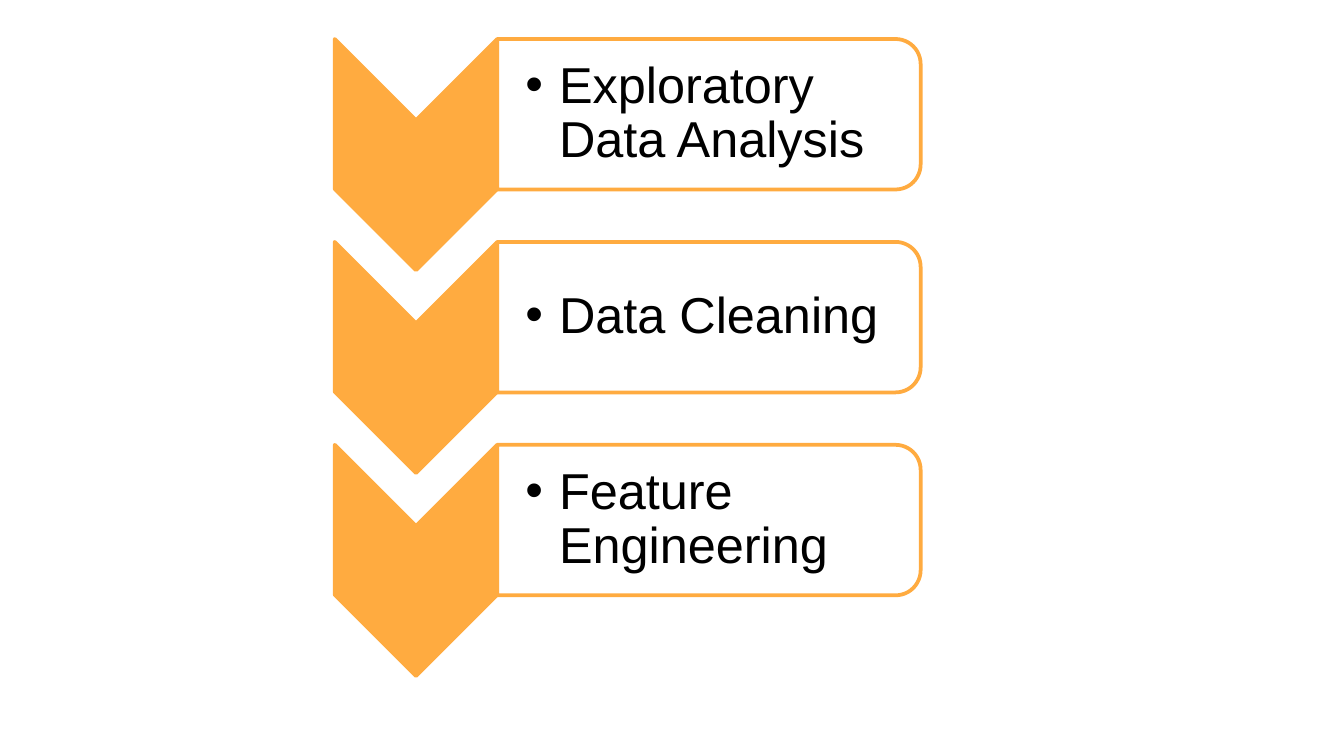
"""Build a slide with three chevron steps, each beside its labelled box."""
from lxml.etree import SubElement
from pptx import Presentation
from pptx.dml.color import RGBColor
from pptx.enum.shapes import MSO_SHAPE
from pptx.enum.text import MSO_ANCHOR
from pptx.oxml.ns import qn
from pptx.util import Inches, Pt

COLOURS = {"accent": "FFAB40", "panel": "FFFFFF", "text": "000000"}
STEPS = ["Exploratory Data Analysis", "Data Cleaning", "Feature Engineering"]
FONT = "Arial"
SLIDE_WIDTH = 10
SLIDE_HEIGHT = SLIDE_WIDTH * 9 / 16
ROW_TOP, ROW_PITCH = 0.29, 3.02 / 2
CHEVRON_LEFT, CHEVRON_WIDTH, CHEVRON_HEIGHT = 2.49, 1.21, 1.72
PANEL_LEFT, PANEL_WIDTH, PANEL_HEIGHT = CHEVRON_LEFT + CHEVRON_WIDTH, 3.15, 1.12
LABEL_INSET, LABEL_WIDTH = 0.05, 3.1


def colour(name):
    """Return the named colour."""
    return RGBColor.from_string(COLOURS[name])


def add_turned_shape(slide, preset, left, top, width, height, fill):
    """Add a quarter-turned shape that covers the given visible area."""
    shift = (width - height) / 2
    shape = slide.shapes.add_shape(
        preset, Inches(left + shift), Inches(top - shift), Inches(height), Inches(width)
    )
    shape.rotation = 90
    shape.shadow.inherit = False
    shape.fill.solid()
    shape.fill.fore_color.rgb = colour(fill)
    shape.line.color.rgb = colour("accent")
    shape.line.width = Pt(2)
    return shape


def set_opacity(shape, percent):
    """Make the solid fill of a shape partly transparent."""
    fill_colour = shape.fill._xPr.find(qn("a:solidFill"))[0]
    SubElement(fill_colour, qn("a:alpha"), val=str(percent * 1000))


def format_bullet(paragraph):
    """Give a paragraph its spacing, hanging indent and bullet."""
    paragraph.level = 1
    paragraph.line_spacing = 0.9
    properties = paragraph._p.get_or_add_pPr()
    properties.set("marL", str(Inches(0.25)))
    properties.set("indent", str(-Inches(0.25)))
    space_after = SubElement(properties, qn("a:spcAft"))
    SubElement(space_after, qn("a:spcPct"), val="15000")
    SubElement(properties, qn("a:buFont"), typeface=FONT)
    SubElement(properties, qn("a:buChar"), char="•")


def add_label(slide, text, left, top, width, height):
    """Add a bulleted label, centred vertically."""
    box = slide.shapes.add_textbox(Inches(left), Inches(top), Inches(width), Inches(height))
    frame = box.text_frame
    frame.word_wrap = True
    frame.vertical_anchor = MSO_ANCHOR.MIDDLE
    frame.margin_left = Inches(0.21)
    frame.margin_top = frame.margin_right = frame.margin_bottom = Inches(0.02)
    frame.text = text
    paragraph = frame.paragraphs[0]
    format_bullet(paragraph)
    font = paragraph.runs[0].font
    font.name = FONT
    font.size = Pt(27)
    font.color.rgb = colour("text")


def add_step(slide, row, text):
    """Add one row: chevron, panel and label."""
    top = ROW_TOP + row * ROW_PITCH
    add_turned_shape(
        slide, MSO_SHAPE.CHEVRON, CHEVRON_LEFT, top, CHEVRON_WIDTH, CHEVRON_HEIGHT, "accent"
    )
    panel = add_turned_shape(
        slide, MSO_SHAPE.ROUND_2_SAME_RECTANGLE,
        PANEL_LEFT, top, PANEL_WIDTH, PANEL_HEIGHT, "panel",
    )
    set_opacity(panel, 90)
    add_label(
        slide, text, PANEL_LEFT, top + LABEL_INSET, LABEL_WIDTH, PANEL_HEIGHT - 2 * LABEL_INSET
    )


def main():
    """Create and save the presentation."""
    presentation = Presentation()
    presentation.slide_width = Inches(SLIDE_WIDTH)
    presentation.slide_height = Inches(SLIDE_HEIGHT)
    slide = presentation.slides.add_slide(presentation.slide_layouts[6])
    for row, text in enumerate(STEPS):
        add_step(slide, row, text)
    presentation.save("out.pptx")


main()
